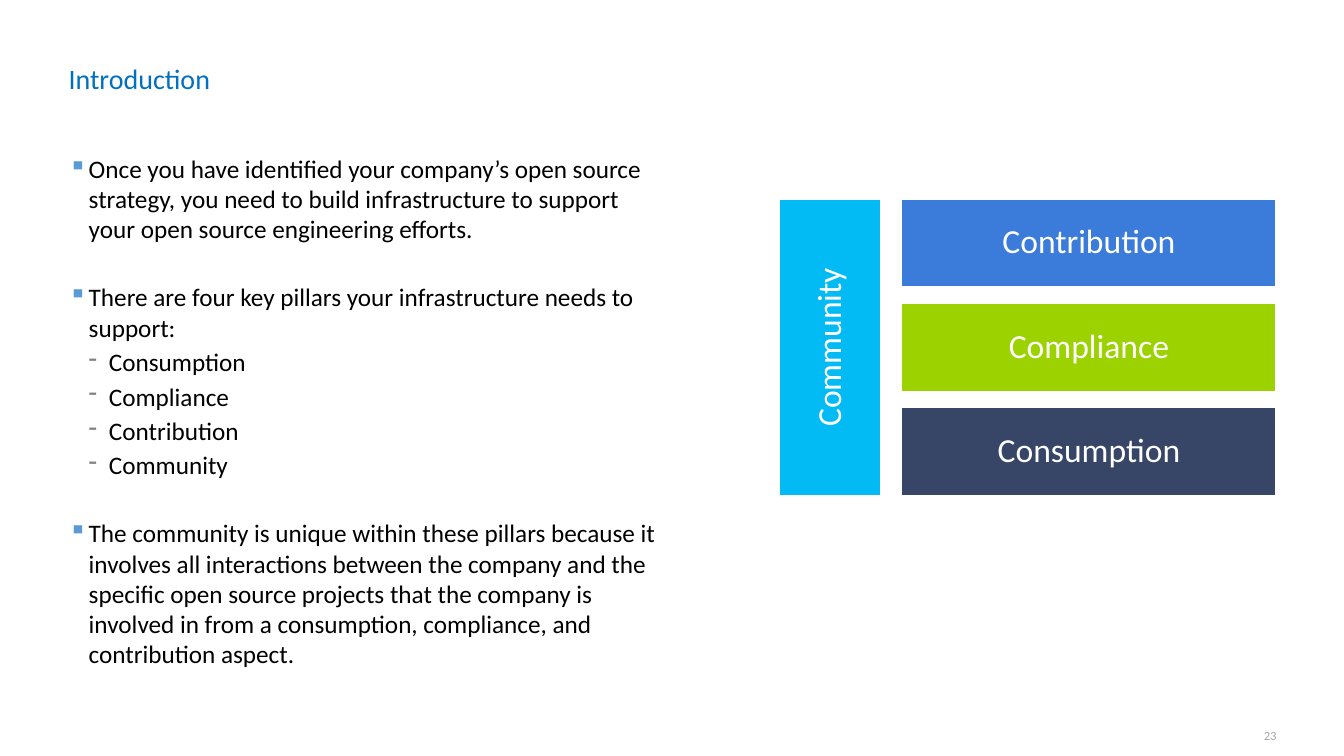
import pptx
import pptx.dml.color
import pptx.enum.shapes
import pptx.enum.text
import pptx.oxml.ns
import pptx.util
from lxml import etree

ALIGN = pptx.enum.text.PP_ALIGN
ANCHOR = pptx.enum.text.MSO_ANCHOR
BULLETS = [("▪", "5B9BD5"), ("-", "808080")]  # mark and colour per level
INDENT = 20
BODY = [  # level, space before in points, text
    (0, 3, "Once you have identified your company’s open source strategy, you need to "
           "build infrastructure to support your open source engineering efforts."),
    (0, 27, "There are four key pillars your infrastructure needs to support:"),
    (1, 3, "Consumption"),
    (1, 3, "Compliance"),
    (1, 3, "Contribution"),
    (1, 3, "Community"),
    (0, 27, "The community is unique within these pillars because it involves all "
            "interactions between the company and the specific open source projects that "
            "the company is involved in from a consumption, compliance, and contribution "
            "aspect."),
]
BARS = [("Contribution", "3B7BD9"), ("Compliance", "9BD200"), ("Consumption", "374567")]


def px(n):
    """Length in EMU, at 100 px to the inch."""
    return pptx.util.Emu(round(n * 9144))


def rgb(value):
    return pptx.dml.color.RGBColor.from_string(value)


def write(p, text, size, color, align=ALIGN.LEFT):
    p.text = text
    p.alignment = align
    font = p.runs[0].font
    font.name, font.size = "Calibri", pptx.util.Pt(size)
    font.color.rgb = rgb(color)


def add_frame(slide, box, insets, anchor=ANCHOR.TOP):
    """Add a wrapping text box and return its text frame."""
    tf = slide.shapes.add_textbox(*map(px, box)).text_frame
    tf.word_wrap = True
    tf.vertical_anchor = anchor
    tf.margin_left, tf.margin_top, tf.margin_right, tf.margin_bottom = map(px, insets)
    return tf


def set_bullet(p, level):
    mark, color = BULLETS[level]
    pPr = p._p.get_or_add_pPr()
    pPr.set("marL", str(px(INDENT * (level + 1))))
    pPr.set("indent", str(px(-INDENT)))
    qn = pptx.oxml.ns.qn
    clr = etree.SubElement(pPr, qn("a:buClr"))
    etree.SubElement(clr, qn("a:srgbClr"), val=color)
    etree.SubElement(pPr, qn("a:buChar"), char=mark)


def add_title(slide, box):
    tf = add_frame(slide, box, (0, 0, 10, 5))
    write(tf.paragraphs[0], "Introduction", 20, "0070C0")


def add_body(slide, box):
    tf = add_frame(slide, box, (0, 5, 10, 5))
    for i, (level, before, text) in enumerate(BODY):
        p = tf.add_paragraph() if i else tf.paragraphs[0]
        write(p, text, 18, "000000")
        p.level = level
        p.space_before = pptx.util.Pt(before)
        set_bullet(p, level)


def add_block(slide, box, text, color):
    sp = slide.shapes.add_shape(pptx.enum.shapes.MSO_SHAPE.RECTANGLE, *map(px, box))
    sp.shadow.inherit = False
    sp.fill.solid()
    sp.fill.fore_color.rgb = rgb(color)
    sp.line.color.rgb = rgb("FFFFFF")
    sp.line.width = pptx.util.Pt(1.5)
    tf = sp.text_frame
    tf.word_wrap = True
    tf.vertical_anchor = ANCHOR.MIDDLE
    p = tf.paragraphs[0]
    write(p, text, 24, "FFFFFF", ALIGN.CENTER)
    p.line_spacing = 0.9
    return sp


def add_pillars(slide, box):
    """Upright Community block on the left, stacked bars on the right."""
    x, y, w, h = box
    side_w, bar_w, bar_h = 101, 372, 88
    turn = (h - side_w) / 2
    side = add_block(slide, (x - turn, y + turn, h, side_w), "Community", "02BAF4")
    side.rotation = 270
    step = (h - bar_h) / (len(BARS) - 1)
    for i, (text, color) in enumerate(BARS):
        add_block(slide, (x + w - bar_w, y + i * step, bar_w, bar_h), text, color)


def add_page_number(slide, box):
    tf = add_frame(slide, box, (10, 10, 10, 10), ANCHOR.MIDDLE)
    write(tf.paragraphs[0], "23", 9, "A6A6A6", ALIGN.RIGHT)


def main():
    prs = pptx.Presentation()
    prs.slide_width, prs.slide_height = px(1333), px(750)
    slide = prs.slides.add_slide(prs.slide_layouts[6])
    add_page_number(slide, (1216, 708, 60, 43))
    add_body(slide, (68, 147, 598, 552))
    add_title(slide, (68, 61, 1198, 72))
    add_pillars(slide, (773, 197, 493, 295))
    prs.save("out.pptx")


if __name__ == "__main__":
    main()
